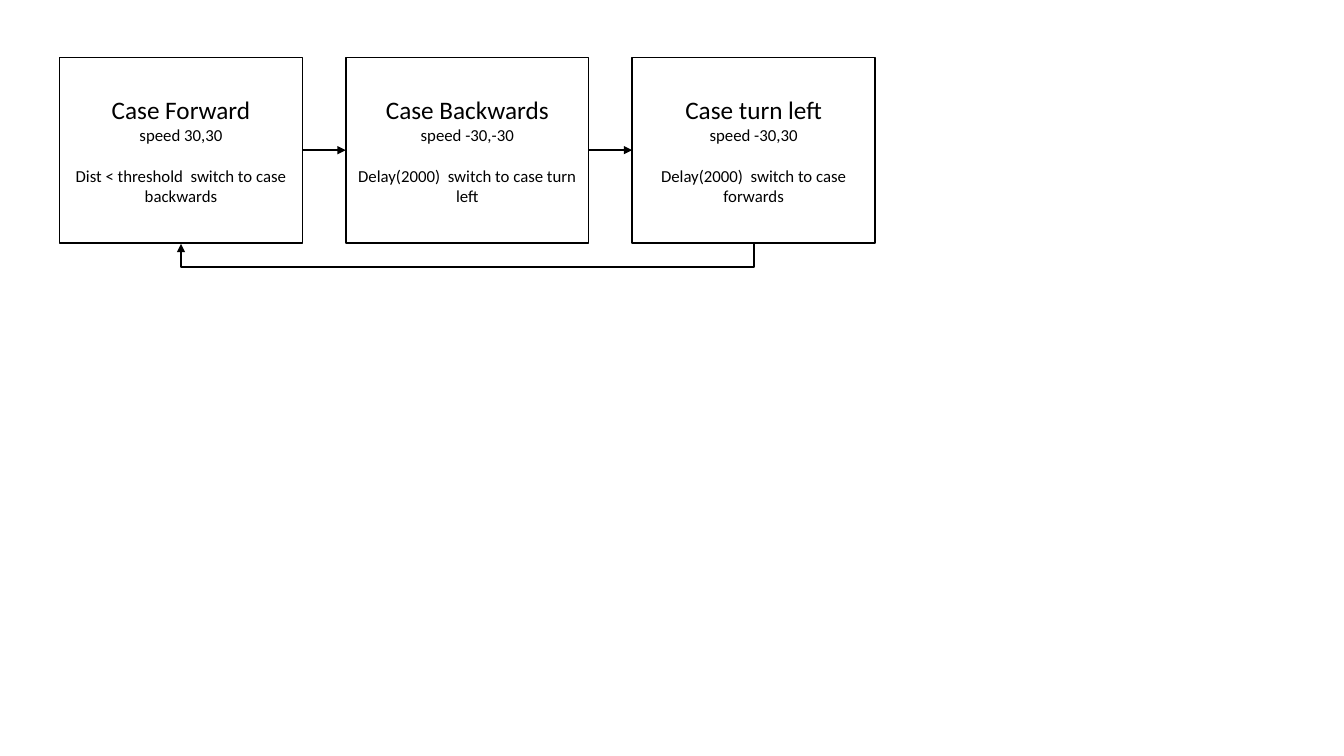
from lxml.etree import SubElement
from pptx import Presentation
from pptx.dml.color import RGBColor
from pptx.enum.shapes import MSO_CONNECTOR, MSO_SHAPE
from pptx.enum.text import MSO_ANCHOR, PP_ALIGN
from pptx.oxml.ns import qn
from pptx.util import Inches, Pt

# Content: case, speed, condition for the next case
CASES = [
    ("Case Forward", "speed 30,30", "Dist < threshold  switch to case backwards"),
    ("Case Backwards", "speed -30,-30", "Delay(2000)  switch to case turn left"),
    ("Case turn left", "speed -30,30", "Delay(2000)  switch to case forwards"),
]
COLORS = {"ink": "000000", "paper": "FFFFFF"}
FONT = "Calibri"
# Size and space before, in points, of each line in a case
LINE_STYLES = [(18, 0), (12, 0), (12, 14.65)]

# Grid in inches
LEFT, TOP = 0.59, 0.57
CASE_W, CASE_H = 2.41, 1.84
PITCH = 2.84
RETURN_DROP = 0.24
RETURN_DEPTH = 0.01
TOP_SIDE, LEFT_SIDE, BOTTOM_SIDE, RIGHT_SIDE = range(4)


def rgb(name):
    return RGBColor.from_string(COLORS[name])


def add_case(slide, column, lines):
    case = slide.shapes.add_shape(
        MSO_SHAPE.RECTANGLE, Inches(LEFT + column * PITCH), Inches(TOP),
        Inches(CASE_W), Inches(CASE_H))
    case.shadow.inherit = False
    case.fill.solid()
    case.fill.fore_color.rgb = rgb("paper")
    case.line.color.rgb = rgb("ink")
    case.line.width = Pt(1)
    frame = case.text_frame
    frame.word_wrap = True
    frame.vertical_anchor = MSO_ANCHOR.MIDDLE
    frame.text = "\n".join(lines)
    for paragraph, (size, gap) in zip(frame.paragraphs, LINE_STYLES):
        paragraph.alignment = PP_ALIGN.CENTER
        paragraph.space_before = Pt(gap)
        font = paragraph.runs[0].font
        font.name, font.size = FONT, Pt(size)
        font.color.rgb = rgb("ink")
    return case


def add_arrow(slide, kind, source, source_side, target, target_side):
    arrow = slide.shapes.add_connector(kind, 0, 0, 0, 0)
    arrow.begin_connect(source, source_side)
    arrow.end_connect(target, target_side)
    arrow.line.color.rgb = rgb("ink")
    arrow.line.width = Pt(1.5)
    SubElement(arrow.line._get_or_add_ln(), qn("a:tailEnd"), type="triangle")
    SubElement(arrow._element.spPr, qn("a:effectLst"))
    return arrow


def bend_below(arrow):
    """Turn the elbow a quarter so that it runs under the row of cases."""
    span = PITCH * (len(CASES) - 1)
    center_x = LEFT + CASE_W / 2 + span / 2
    center_y = TOP + CASE_H + RETURN_DEPTH / 2
    arrow.left = Inches(center_x - RETURN_DEPTH / 2)
    arrow.top = Inches(center_y - span / 2)
    arrow.width, arrow.height = Inches(RETURN_DEPTH), Inches(span)
    properties = arrow._element.spPr
    transform = properties.find(qn("a:xfrm"))
    for flip in ("flipH", "flipV"):
        transform.attrib.pop(flip, None)
    transform.set("rot", str(90 * 60000))
    geometry = properties.find(qn("a:prstGeom"))
    adjustments = geometry.find(qn("a:avLst"))
    bend = round(RETURN_DROP / RETURN_DEPTH * 100000)
    SubElement(adjustments, qn("a:gd"), name="adj1", fmla=f"val {bend}")


def main():
    deck = Presentation()
    deck.slide_width, deck.slide_height = Inches(13.33), Inches(7.5)
    slide = deck.slides.add_slide(deck.slide_layouts[6])

    # Row of cases
    cases = [add_case(slide, column, lines) for column, lines in enumerate(CASES)]

    # Steps from each case to the next
    for current, following in zip(cases, cases[1:]):
        add_arrow(slide, MSO_CONNECTOR.STRAIGHT,
                  current, RIGHT_SIDE, following, LEFT_SIDE)

    # Return from the last case to the first
    bend_below(add_arrow(slide, MSO_CONNECTOR.ELBOW,
                         cases[-1], BOTTOM_SIDE, cases[0], BOTTOM_SIDE))

    deck.save("out.pptx")


if __name__ == "__main__":
    main()
